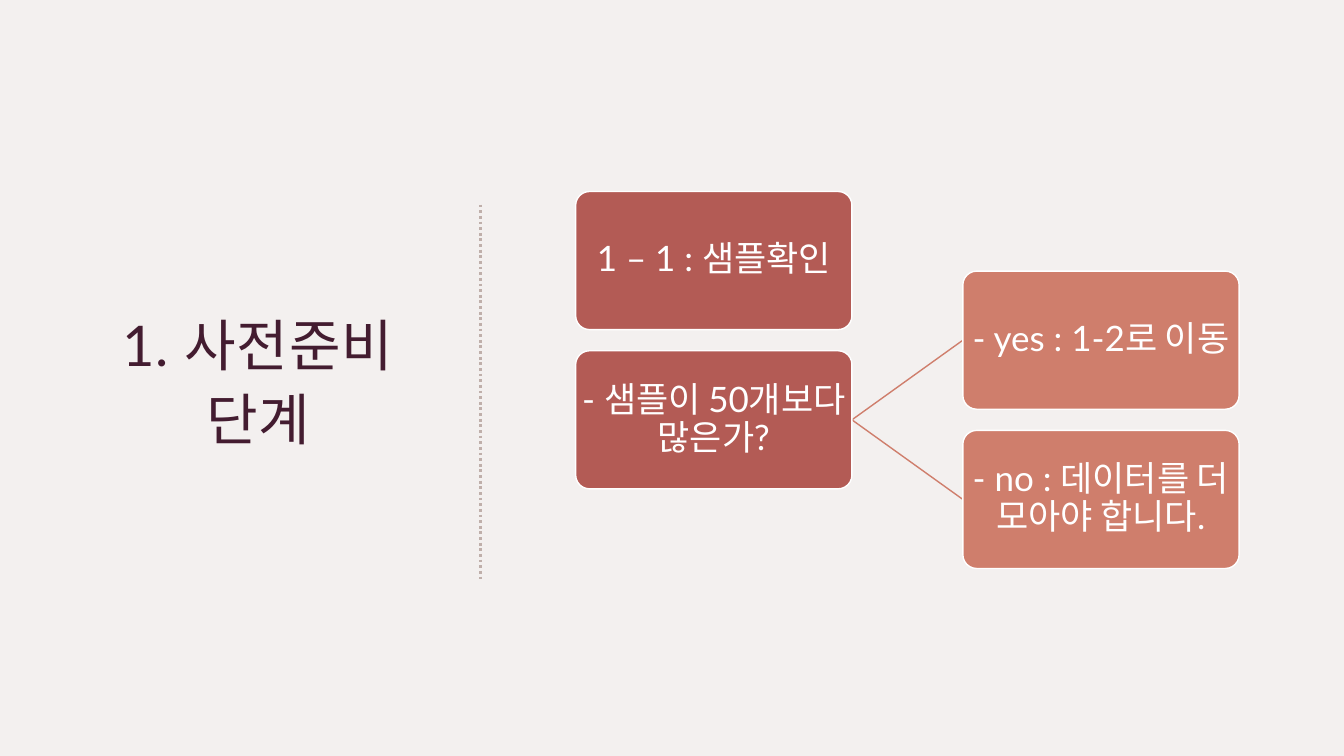
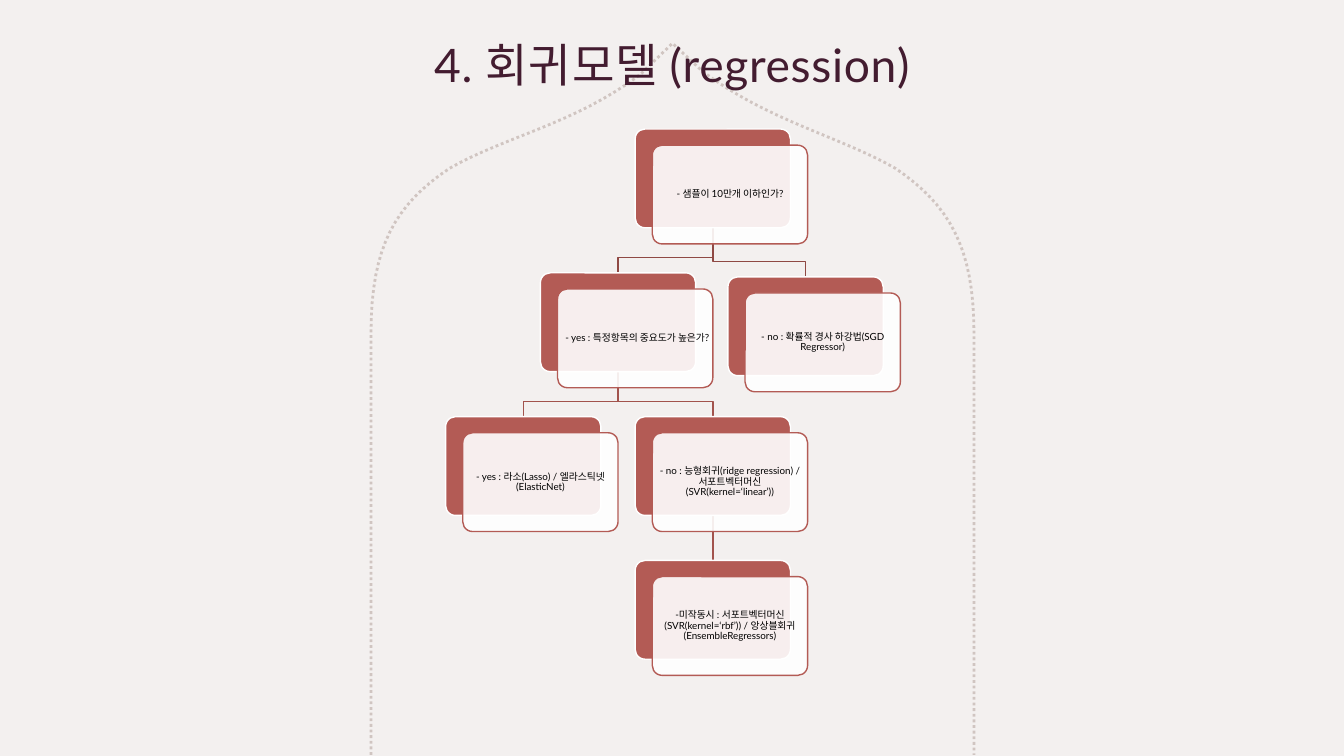
from dataclasses import dataclass
from typing import Optional

from lxml.etree import SubElement
from pptx import Presentation
from pptx.dml.color import RGBColor
from pptx.enum.dml import MSO_LINE
from pptx.enum.shapes import MSO_CONNECTOR, MSO_SHAPE
from pptx.enum.text import MSO_ANCHOR, MSO_AUTO_SIZE, PP_ALIGN
from pptx.oxml.ns import qn
from pptx.util import Inches, Pt

FONT = "Lato"
COLORS = {
    "paper": "F3F0EF",
    "plum": "431C30",
    "taupe": "BFAFAA",
    "brick": "B35B55",
    "coral": "CF7E6C",
    "link_top": "8F4944",
    "link_low": "A2534D",
    "white": "FFFFFF",
    "black": "000000",
}


@dataclass(frozen=True)
class Card:
    text: str
    left: float
    top: float
    color: str


@dataclass(frozen=True)
class Node:
    text: str
    col: int
    row: int
    parent: Optional[int] = None
    dx: float = 0
    dy: float = 0

    @property
    def left(self) -> float:
        return TREE_LEFT + self.col * COL_STEP + self.dx

    @property
    def top(self) -> float:
        return TREE_TOP + self.row * ROW_STEP + self.dy

    @property
    def center(self) -> float:
        return self.left + NODE_W / 2


CARD_W, CARD_H = 2.74, 1.37
CARDS = [
    Card("1 – 1 : 샘플확인", 5.71, 1.9, "brick"),
    Card("- 샘플이 50개보다 많은가?", 5.71, 3.48, "brick"),
    Card("- yes : 1-2로 이동", 9.55, 2.69, "coral"),
    Card("- no : 데이터를 더 모아야 합니다.", 9.55, 4.27, "coral"),
]

NODE_W, NODE_H = 1.54, 0.98
TREE_LEFT, TREE_TOP = 4.42, 1.28
COL_STEP, ROW_STEP = 0.94, (5.56 - TREE_TOP) / 3
FRONT_DX, FRONT_DY = 0.17, 0.16
BEND = 0.15
NODES = [
    Node("- 샘플이 10만개 이하인가?", 2, 0),
    Node("- yes : 특정항목의 중요도가 높은가?", 1, 1, 0),
    Node("- yes : 라소(Lasso) / 엘라스틱넷(ElasticNet)", 0, 2, 1),
    Node("- no : 능형회귀(ridge regression) / 서포트벡터머신 (SVR(kernel=‘linear’))", 2, 2, 1),
    Node("-미작동시 : 서포트벡터머신 (SVR(kernel=‘rbf’)) / 앙상블회귀(EnsembleRegressors)", 2, 3, 3),
    Node("- no : 확률적 경사 하강법(SGD Regressor)", 3, 1, 0, dx=-0.02, dy=0.04),
]

ARCH_START = (3.68, 7.49)
ARCH = [
    [(3.68, 3.3)],
    [(3.68, 2.45), (3.92, 2.03), (4.46, 1.67)],
    [(5.02, 1.35), (5.7, 1.23), (6.35, 0.74)],
    [(6.67, 0.43)],
    [(6.97, 0.71)],
    [(7.62, 1.2), (8.32, 1.35), (8.88, 1.67)],
    [(9.41, 2.03), (9.66, 2.45), (9.66, 3.3)],
    [(9.66, 7.49)],
]


def rgb(name: str) -> RGBColor:
    return RGBColor.from_string(COLORS[name])


def set_alpha(sp, part: str, percent: int) -> None:
    clr = sp.element.spPr.find(f"{part}/{qn('a:solidFill')}/{qn('a:srgbClr')}")
    SubElement(clr, qn("a:alpha")).set("val", str(percent * 1000))


def style_line(sp, color: str, width: float = 1, dotted: bool = False) -> None:
    sp.line.color.rgb = rgb(color)
    sp.line.width = Pt(width)
    if dotted:
        sp.line.dash_style = MSO_LINE.ROUND_DOT


def write(tf, text: str, *, size: float, color: str, inset: tuple[float, float],
          leading: float = 1.0, tracking: float = 0) -> None:
    tf.word_wrap = True
    tf.auto_size = MSO_AUTO_SIZE.NONE
    tf.vertical_anchor = MSO_ANCHOR.MIDDLE
    tf.margin_left = tf.margin_right = Inches(inset[0])
    tf.margin_top = tf.margin_bottom = Inches(inset[1])
    p = tf.paragraphs[0]
    p.alignment = PP_ALIGN.CENTER
    p.line_spacing = leading
    r = p.add_run()
    r.text = text
    r.font.name = FONT
    r.font.size = Pt(size)
    r.font.color.rgb = rgb(color)
    if tracking:
        r.font._element.set("spc", str(int(tracking * 100)))


def add_title(s, text: str, box: tuple[float, float, float, float], size: float,
              inset: tuple[float, float], leading: float = 1.0) -> None:
    title = s.shapes.title
    title.left, title.top, title.width, title.height = map(Inches, box)
    write(title.text_frame, text, size=size, color="plum", inset=inset,
          leading=leading, tracking=0.5)
    title.element.getparent().append(title.element)


def add_box(s, left: float, top: float, width: float, height: float, fill: str, line: str):
    sp = s.shapes.add_shape(MSO_SHAPE.ROUNDED_RECTANGLE, Inches(left), Inches(top),
                            Inches(width), Inches(height))
    sp.adjustments[0] = 0.1
    sp.shadow.inherit = False
    sp.fill.solid()
    sp.fill.fore_color.rgb = rgb(fill)
    style_line(sp, line)
    return sp


def add_line(s, start: tuple[float, float], end: tuple[float, float], color: str,
             width: float = 1, dotted: bool = False) -> None:
    cx = s.shapes.add_connector(MSO_CONNECTOR.STRAIGHT, *map(Inches, start + end))
    style_line(cx, color, width, dotted)
    SubElement(cx.element.spPr, qn("a:effectLst"))


def add_path(s, points: list[tuple[float, float]], color: str, width: float = 1,
             dotted: bool = False):
    emu = [(Inches(x), Inches(y)) for x, y in points]
    builder = s.shapes.build_freeform(*emu[0])
    builder.add_line_segments(emu[1:], close=False)
    sp = builder.convert_to_shape()
    sp.shadow.inherit = False
    sp.fill.background()
    style_line(sp, color, width, dotted)
    return sp


def arch_points(steps: int = 16) -> list[tuple[float, float]]:
    points = [ARCH_START]
    for segment in ARCH:
        if len(segment) == 1:
            points += segment
            continue
        controls = [points[-1], *segment]
        for i in range(1, steps + 1):
            t = i / steps
            weights = ((1 - t) ** 3, 3 * t * (1 - t) ** 2, 3 * t * t * (1 - t), t ** 3)
            points.append((sum(w * c[0] for w, c in zip(weights, controls)),
                           sum(w * c[1] for w, c in zip(weights, controls))))
    return points


def add_link(s, parent: Node, child: Node) -> None:
    color = "link_low" if parent.row else "link_top"
    start, end = (parent.center, parent.top + NODE_H), (child.center, child.top)
    if parent.col == child.col:
        add_line(s, start, end, color)
    else:
        bend = child.top - BEND
        add_path(s, [start, (start[0], bend), (end[0], bend), end], color)


def add_node(s, node: Node) -> None:
    add_box(s, node.left, node.top, NODE_W, NODE_H, "brick", "white")
    front = add_box(s, node.left + FRONT_DX, node.top + FRONT_DY, NODE_W, NODE_H,
                    "white", "brick")
    set_alpha(front, ".", 90)
    write(front.text_frame, node.text, size=7, color="black", inset=(0.03, 0.03), leading=0.9)


def build_preparation(prs) -> None:
    s = prs.slides.add_slide(prs.slide_layouts[5])
    add_title(s, "1. 사전준비 단계", (1.04, 1.73, 3.04, 4.03), 40, (0.15, 0.1), leading=1.1)
    add_line(s, (4.77, 2.03), (4.77, 5.74), "taupe", 2, dotted=True)
    question, answers = CARDS[1], CARDS[2:]
    for answer in answers:
        add_line(s, (question.left + CARD_W, question.top + CARD_H / 2),
                 (answer.left, answer.top + CARD_H / 2), "coral")
    for card in CARDS:
        sp = add_box(s, card.left, card.top, CARD_W, CARD_H, card.color, "white")
        write(sp.text_frame, card.text, size=25, color="white", inset=(0.02, 0.02), leading=0.9)


def build_regression(prs) -> None:
    s = prs.slides.add_slide(prs.slide_layouts[5])
    arch = add_path(s, arch_points(), "taupe", 2, dotted=True)
    set_alpha(arch, qn("a:ln"), 65)
    add_title(s, "4. 회귀모델 (regression)", (1.04, 0.26, 11.25, 0.75), 33, (0.12, 0.1))
    for node in NODES:
        if node.parent is not None:
            add_link(s, NODES[node.parent], node)
    for node in NODES:
        add_node(s, node)


def main() -> None:
    prs = Presentation()
    prs.slide_width, prs.slide_height = Inches(13.33), Inches(7.5)
    fill = prs.slide_master.background.fill
    fill.solid()
    fill.fore_color.rgb = rgb("paper")
    build_preparation(prs)
    build_regression(prs)
    prs.save("out.pptx")


if __name__ == "__main__":
    main()
